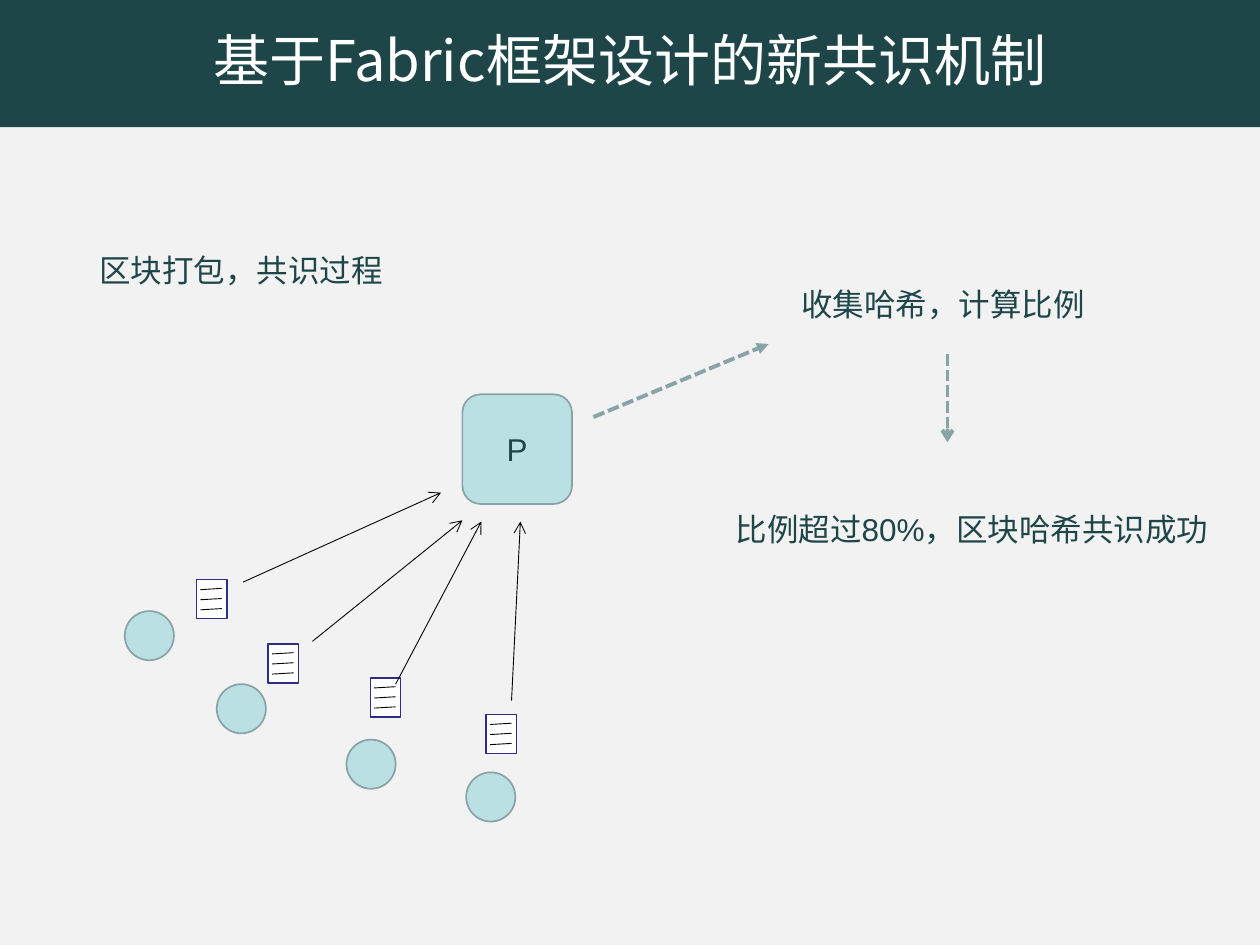
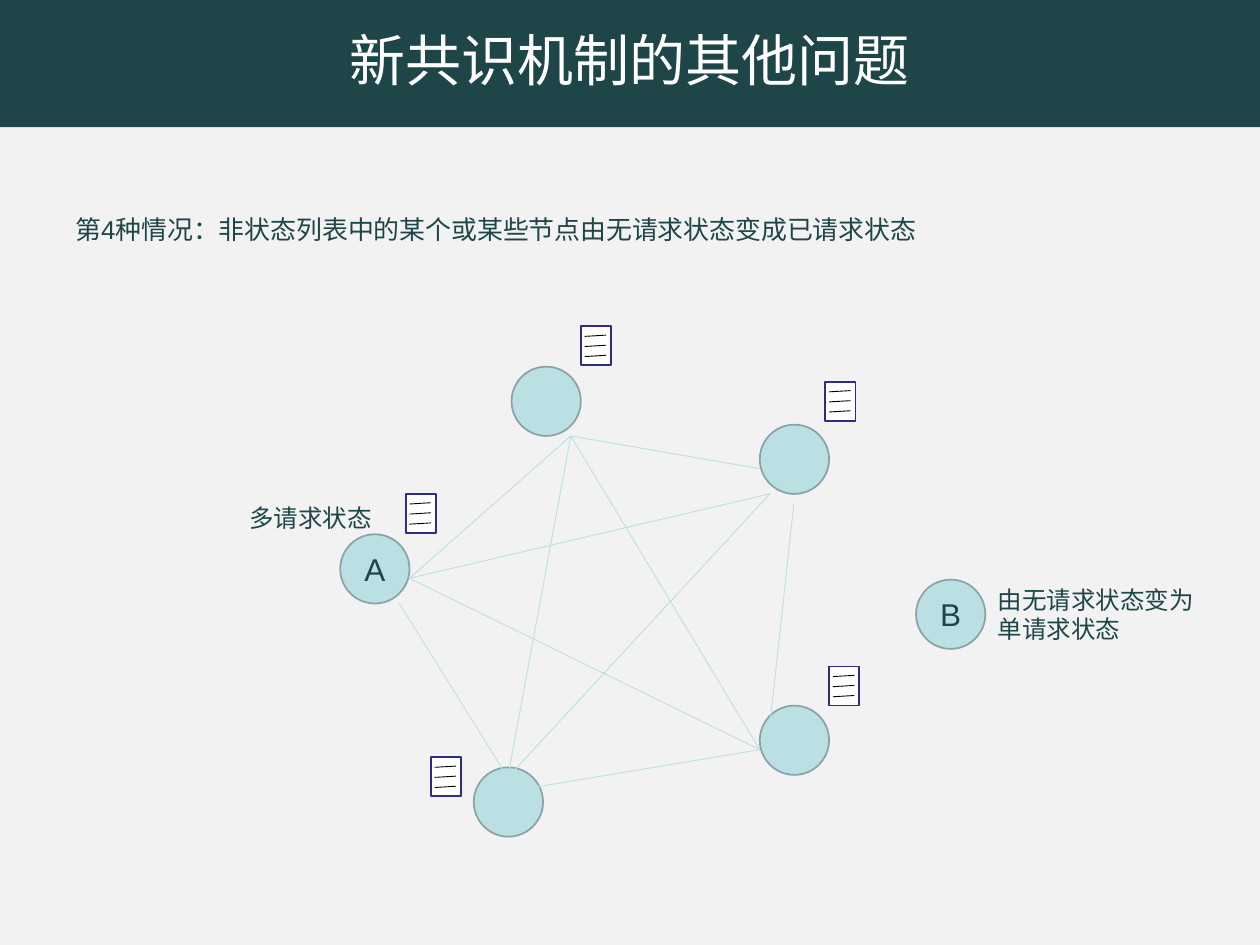
from lxml import etree
from pptx import Presentation
from pptx.dml.color import RGBColor
from pptx.enum.dml import MSO_LINE
from pptx.enum.shapes import MSO_CONNECTOR, MSO_SHAPE
from pptx.enum.text import MSO_ANCHOR, MSO_AUTO_SIZE, PP_ALIGN
from pptx.oxml.ns import qn
from pptx.util import Inches, Pt

STRAIGHT = MSO_CONNECTOR.STRAIGHT
OVAL, RECTANGLE, ROUNDED = MSO_SHAPE.OVAL, MSO_SHAPE.RECTANGLE, MSO_SHAPE.ROUNDED_RECTANGLE
SYSTEM_DASH = MSO_LINE.SQUARE_DOT
LEFT, CENTER = PP_ALIGN.LEFT, PP_ALIGN.CENTER
TOP, MIDDLE = MSO_ANCHOR.TOP, MSO_ANCHOR.MIDDLE
NO_AUTOFIT = MSO_AUTO_SIZE.NONE

LATIN_FONT = "Arial"
CHINESE_FONT = "Noto Sans CJK SC"
COLORS = {name: RGBColor.from_string(value) for name, value in {
    "background": "F2F2F2",
    "dark": "1E4649",
    "node": "BBE0E3",
    "outline": "89A4A7",
    "note_outline": "2D2D89",
    "white": "FFFFFF",
    "black": "000000",
}.items()}


def write_text(shape, text, size=18, font=LATIN_FONT, color="dark", align=LEFT,
               anchor=TOP, wrap=True, line_spacing=None, space_before=0):
    frame = shape.text_frame
    frame.auto_size = NO_AUTOFIT
    frame.word_wrap = wrap
    frame.vertical_anchor = anchor
    frame.text = text
    for paragraph in frame.paragraphs:
        paragraph.alignment = align
        paragraph.line_spacing = line_spacing
        paragraph.space_before = Pt(space_before)
        for run in paragraph.runs:
            run.font.size = Pt(size)
            run.font.name = font
            run.font.color.rgb = COLORS[color]
            east_asian = etree.SubElement(run.font._element, qn("a:ea"))
            east_asian.set("typeface", CHINESE_FONT)


def draw_line(shapes, start, end, color="black", width=0.5, dash=None, arrow=None):
    connector = shapes.add_connector(STRAIGHT, *[Inches(value) for value in (*start, *end)])
    connector.line.color.rgb = COLORS[color]
    connector.line.width = Pt(width)
    if dash:
        connector.line.dash_style = dash
    if arrow:
        etree.SubElement(connector.line._get_or_add_ln(), qn("a:tailEnd")).set("type", arrow)
    etree.SubElement(connector._element.spPr, qn("a:effectLst"))


presentation = Presentation()
presentation.slide_width = Inches(10)
presentation.slide_height = Inches(7.5)

NOTE_WIDTH, NOTE_HEIGHT = 0.24, 0.31
PAGES = [
    {
        "title": "基于Fabric框架设计的新共识机制",
        "nodes": [
            (OVAL, 0.99, 4.85, 0.39, ""),
            (OVAL, 1.72, 5.43, 0.39, ""),
            (OVAL, 2.75, 5.87, 0.39, ""),
            (OVAL, 3.7, 6.13, 0.39, ""),
            (ROUNDED, 3.67, 3.13, 0.87, "P"),
        ],
        "notes": [(1.56, 4.6), (2.13, 5.11), (2.94, 5.38), (3.86, 5.67)],
        "labels": [
            (0.69, 1.94, 2.45, 0.4, "区块打包，共识过程", {"wrap": False}),
            (6.26, 2.21, 2.45, 0.4, "收集哈希，计算比例", {"wrap": False}),
            (5.74, 4, 4.07, 0.4, "比例超过80%，区块哈希共识成功", {"wrap": False}),
        ],
    },
    {
        "title": "新共识机制的其他问题",
        "nodes": [
            (OVAL, 2.7, 4.24, 0.55, "A"),
            (OVAL, 3.76, 6.09, 0.55, ""),
            (OVAL, 4.06, 2.91, 0.55, ""),
            (OVAL, 6.03, 5.6, 0.55, ""),
            (OVAL, 6.03, 3.37, 0.55, ""),
            (OVAL, 7.27, 4.6, 0.55, "B"),
        ],
        "notes": [(3.22, 3.92), (3.42, 6.01), (4.61, 2.59), (6.55, 3.03), (6.58, 5.29)],
        "labels": [
            (0.5, 1.55, 7.51, 0.67,
             "第4种情况：非状态列表中的某个或某些节点由无请求状态变成已请求状态",
             {"size": 14.8, "line_spacing": 1.4, "space_before": 4}),
            (1.88, 3.94, 1.17, 0.34, "多请求状态", {"size": 14, "wrap": False}),
            (7.82, 4.59, 1.76, 0.57, "由无请求状态变为\n单请求状态",
             {"size": 14, "wrap": False}),
        ],
    },
]

slides = []
for page in PAGES:
    slide = presentation.slides.add_slide(presentation.slide_layouts[5])
    slides.append(slide)
    slide.background.fill.solid()
    slide.background.fill.fore_color.rgb = COLORS["background"]

    title = slide.shapes.title
    title.left, title.top = Inches(0), Inches(-0.07)
    title.width, title.height = Inches(10), Inches(1.08)
    title.fill.solid()
    title.fill.fore_color.rgb = COLORS["dark"]
    write_text(title, page["title"], size=32, font=CHINESE_FONT, color="white",
               align=CENTER, anchor=MIDDLE)

    for kind, left, top, side, letter in page["nodes"]:
        node = slide.shapes.add_shape(kind, Inches(left), Inches(top), Inches(side), Inches(side))
        node.shadow.inherit = False
        node.fill.solid()
        node.fill.fore_color.rgb = COLORS["node"]
        node.line.color.rgb = COLORS["outline"]
        node.line.width = Pt(1)
        if letter:
            write_text(node, letter, align=CENTER, anchor=MIDDLE)

    for left, top in page["notes"]:
        note = slide.shapes.add_group_shape()
        sheet = note.shapes.add_shape(RECTANGLE, Inches(left), Inches(top),
                                      Inches(NOTE_WIDTH), Inches(NOTE_HEIGHT))
        sheet.shadow.inherit = False
        sheet.fill.solid()
        sheet.fill.fore_color.rgb = COLORS["white"]
        sheet.line.color.rgb = COLORS["note_outline"]
        sheet.line.width = Pt(1)
        for row in range(3):
            height = top + 0.08 + row * 0.08
            draw_line(note.shapes, (left + 0.03, height), (left + 0.2, height - 0.01))

    for left, top, width, height, text, style in page["labels"]:
        label = slide.shapes.add_textbox(Inches(left), Inches(top), Inches(width), Inches(height))
        write_text(label, text, **style)

consensus_slide, problem_slide = slides

for start, end in [
    ((1.93, 4.62), (3.5, 3.91)),
    ((2.48, 5.09), (3.67, 4.13)),
    ((3.14, 5.43), (3.82, 4.14)),
    ((4.06, 5.56), (4.13, 4.14)),
]:
    draw_line(consensus_slide.shapes, start, end, arrow="arrow")

for start, end, arrow in [
    ((4.71, 3.31), (6.1, 2.73), "triangle"),
    ((7.52, 2.81), (7.52, 3.51), "arrow"),
]:
    draw_line(consensus_slide.shapes, start, end, color="outline", width=2.25,
              dash=SYSTEM_DASH, arrow=arrow)

top_node, left_node, bottom_node = (4.53, 3.46), (3.25, 4.59), (4.03, 6.17)
upper_right_node, lower_right_node = (6.11, 3.92), (6.03, 5.95)
for start, end in [
    (top_node, lower_right_node),
    (top_node, bottom_node),
    (top_node, left_node),
    (top_node, (6.03, 3.72)),
    (left_node, upper_right_node),
    (left_node, lower_right_node),
    ((3.17, 4.79), bottom_node),
    (bottom_node, upper_right_node),
    ((4.23, 6.25), lower_right_node),
    ((6.11, 5.76), (6.3, 4)),
]:
    draw_line(problem_slide.shapes, start, end, color="node")

presentation.save("out.pptx")
